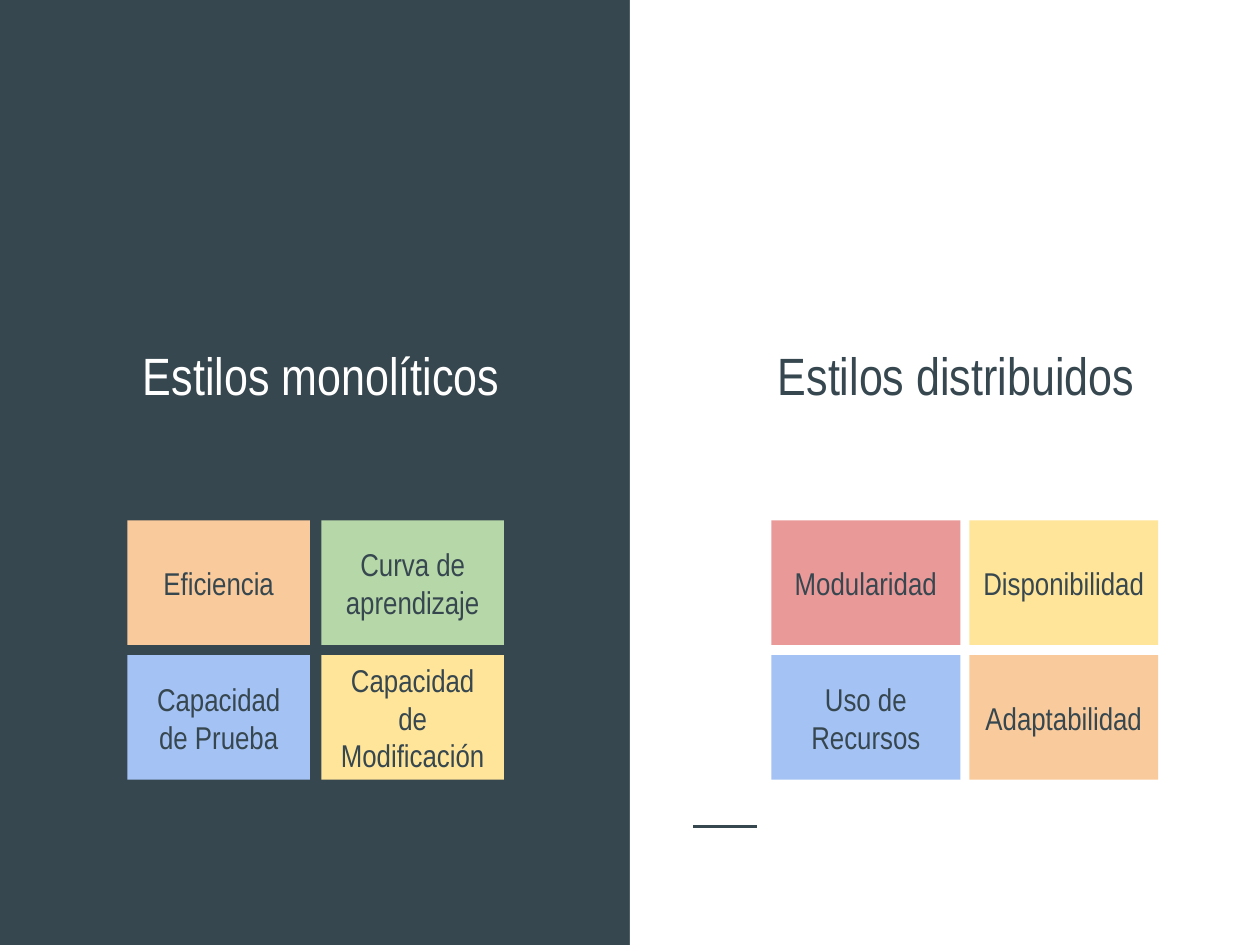
from pptx import Presentation
from pptx.dml.color import RGBColor
from pptx.enum.shapes import MSO_CONNECTOR, MSO_SHAPE
from pptx.enum.text import MSO_ANCHOR, MSO_AUTO_SIZE, PP_ALIGN
from pptx.util import Cm, Pt
from lxml import etree

RECT = MSO_SHAPE.RECTANGLE
STRAIGHT = MSO_CONNECTOR.STRAIGHT
TOP, MIDDLE = MSO_ANCHOR.TOP, MSO_ANCHOR.MIDDLE
CENTER = PP_ALIGN.CENTER
FIXED = MSO_AUTO_SIZE.NONE

SLATE = RGBColor(0x37, 0x47, 0x4F)
WHITE = RGBColor(0xFF, 0xFF, 0xFF)
ORANGE = RGBColor(0xF9, 0xCB, 0x9C)
GREEN = RGBColor(0xB6, 0xD7, 0xA8)
YELLOW = RGBColor(0xFF, 0xE5, 0x99)
BLUE = RGBColor(0xA4, 0xC2, 0xF4)
RED = RGBColor(0xEA, 0x99, 0x99)

WIDTH, HEIGHT = 25.4, 19.05
A_NS = "http://schemas.openxmlformats.org/drawingml/2006/main"


class Deck:
    font = "Arial Narrow"
    inset = Cm(0.25)

    def __init__(self):
        self.prs = Presentation()
        self.prs.slide_width, self.prs.slide_height = Cm(WIDTH), Cm(HEIGHT)
        self.slide = self.prs.slides.add_slide(self.prs.slide_layouts[5])
        fill = self.slide.background.fill
        fill.solid()
        fill.fore_color.rgb = SLATE

    def put_text(self, shape, text, size, color, anchor):
        frame = shape.text_frame
        frame.text = text
        frame.word_wrap = True
        frame.auto_size = FIXED
        frame.vertical_anchor = anchor
        frame.margin_left = frame.margin_right = self.inset
        frame.margin_top = frame.margin_bottom = self.inset
        para = frame.paragraphs[0]
        para.alignment = CENTER
        para.font.name = self.font
        para.font.size = Pt(size)
        para.font.color.rgb = color
        return para

    def head(self, shape, text, color):
        para = self.put_text(shape, text, 30, color, TOP)
        para.line_spacing = 1.15
        para.space_after = Pt(16)

    def title(self, text, x, y, w, h, color):
        shape = self.slide.shapes.title
        shape.left, shape.top, shape.width, shape.height = Cm(x), Cm(y), Cm(w), Cm(h)
        self.head(shape, text, color)

    def label(self, text, x, y, w, h, color):
        shape = self.slide.shapes.add_textbox(Cm(x), Cm(y), Cm(w), Cm(h))
        self.head(shape, text, color)

    def box(self, x, y, w, h, color):
        shape = self.slide.shapes.add_shape(RECT, Cm(x), Cm(y), Cm(w), Cm(h))
        shape.shadow.inherit = False
        shape.fill.solid()
        shape.fill.fore_color.rgb = color
        shape.line.fill.background()
        return shape

    def line(self, x1, y1, x2, y2):
        rule = self.slide.shapes.add_connector(STRAIGHT, Cm(x1), Cm(y1), Cm(x2), Cm(y2))
        rule.line.color.rgb = SLATE
        rule.line.width = Pt(1.5)
        etree.SubElement(rule._element.spPr, f"{{{A_NS}}}effectLst")

    def grid(self, x, w, gap, tiles):
        top, high, step = 10.49, 2.51, 2.72
        for i, (text, color) in enumerate(tiles):
            row, col = divmod(i, 2)
            tile = self.box(x + col * (w + gap), top + row * step, w, high, color)
            self.put_text(tile, text, 18, SLATE, MIDDLE)


def main():
    deck = Deck()
    deck.box(WIDTH / 2, 0, WIDTH / 2, HEIGHT, WHITE)
    deck.line(13.97, 16.66, 15.27, 16.66)
    deck.title("Estilos monolíticos", 1.14, 6.48, 10.67, 1.85, WHITE)
    deck.label("Estilos distribuidos", 13.94, 6.48, 10.67, 1.85, SLATE)
    deck.grid(2.57, 3.68, 0.23, [
        ("Eficiencia", ORANGE),
        ("Curva de aprendizaje", GREEN),
        ("Capacidad de Prueba", BLUE),
        ("Capacidad de Modificación", YELLOW),
    ])
    deck.grid(15.55, 3.81, 0.18, [
        ("Modularidad", RED),
        ("Disponibilidad", YELLOW),
        ("Uso de Recursos", BLUE),
        ("Adaptabilidad", ORANGE),
    ])
    deck.prs.save("out.pptx")


if __name__ == "__main__":
    main()
